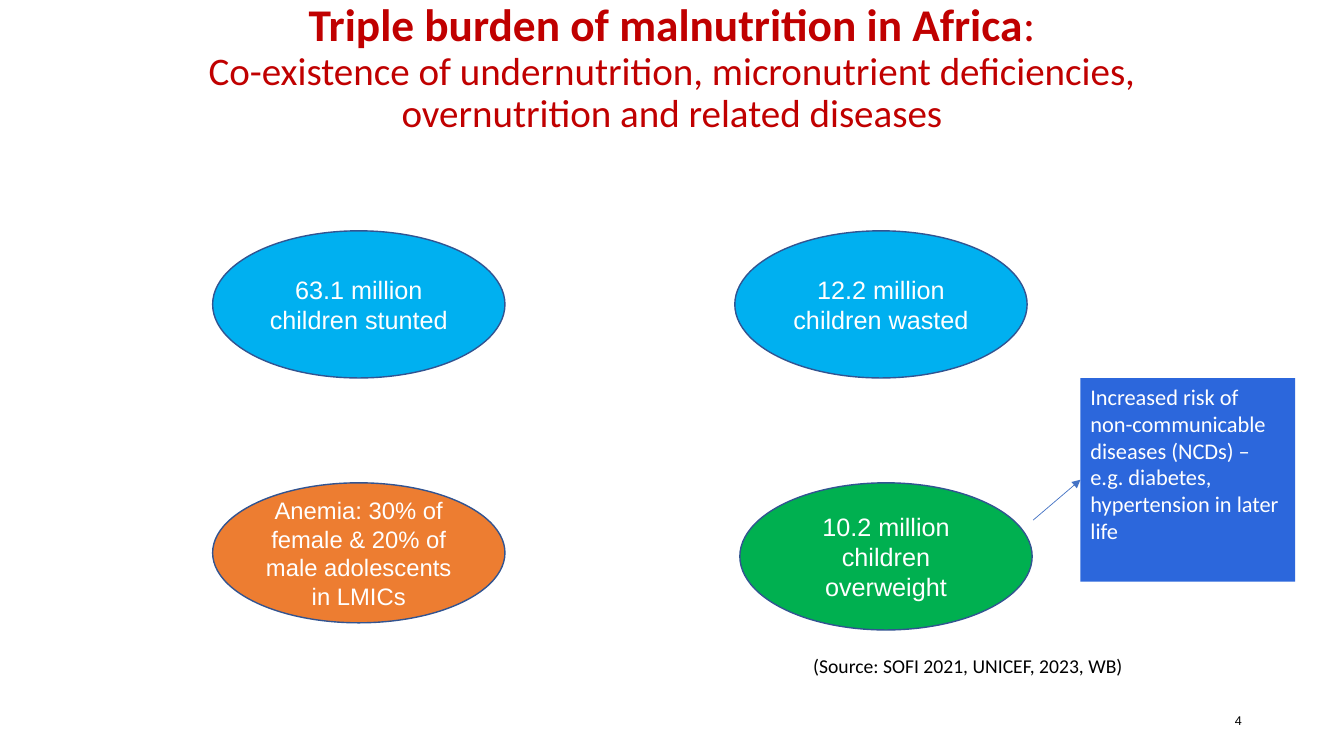
from lxml.etree import SubElement
from pptx import Presentation
from pptx.dml.color import RGBColor
from pptx.enum.shapes import MSO_CONNECTOR as Connector, MSO_SHAPE as Preset
from pptx.enum.text import MSO_ANCHOR as Anchor, PP_ALIGN as Align
from pptx.oxml.ns import qn
from pptx.util import Pt

COLORS = {
    "title": "C00000",
    "sky": "00B0F0",
    "orange": "ED7D31",
    "green": "00B050",
    "outline": "325491",
    "risk": "2C67DC",
    "arrow": "4472C4",
    "white": "FFFFFF",
    "black": "000000",
}

LEFT_COLUMN = 151.9
TOP_ROW, BOTTOM_ROW = 164.9, 344.9
OVAL_WIDTH, OVAL_HEIGHT = 208.8, 105.1

BURDENS = [
    ("63.1 million children stunted", LEFT_COLUMN, TOP_ROW, OVAL_HEIGHT, "sky", 18),
    ("12.2 million children wasted", 524.9, TOP_ROW, OVAL_HEIGHT, "sky", 18),
    ("Anemia: 30% of female & 20% of male adolescents in LMICs",
     LEFT_COLUMN, BOTTOM_ROW, 100, "orange", 17),
    ("10.2 million children overweight", 528.5, BOTTOM_ROW, OVAL_HEIGHT, "green", 18),
]


def rgb(name):
    return RGBColor.from_string(COLORS[name])


def style(paragraph, font_name, size, color, align):
    paragraph.alignment = align
    paragraph.font.name = font_name
    paragraph.font.size = Pt(size)
    paragraph.font.color.rgb = rgb(color)


def write(shape, text, font_name, size, color, align=Align.LEFT, anchor=Anchor.TOP):
    frame = shape.text_frame
    frame.word_wrap = True
    frame.vertical_anchor = anchor
    paragraph = frame.paragraphs[0]
    paragraph.text = text
    style(paragraph, font_name, size, color, align)


def add_text(slide, box, *args, **options):
    shape = slide.shapes.add_textbox(*map(Pt, box))
    write(shape, *args, **options)


def add_filled(slide, preset, box, fill):
    shape = slide.shapes.add_shape(preset, *map(Pt, box))
    shape.shadow.inherit = False
    shape.fill.solid()
    shape.fill.fore_color.rgb = rgb(fill)
    return shape


def add_title(slide):
    shape = slide.shapes.add_textbox(Pt(66), Pt(2), Pt(828), Pt(97))
    frame = shape.text_frame
    frame.word_wrap = True
    frame.margin_top = frame.margin_bottom = 0
    paragraph = frame.paragraphs[0]
    style(paragraph, "Calibri", 27.9, "title", Align.CENTER)
    paragraph.line_spacing = 0.9
    for text, bold in (("Triple burden of malnutrition in Africa", True), (":", False)):
        run = paragraph.add_run()
        run.text = text
        run.font.size = Pt(32.4)
        run.font.bold = bold
    paragraph.add_line_break()
    paragraph.add_run().text = (
        "Co-existence of undernutrition, micronutrient deficiencies, "
        "overnutrition and related diseases"
    )


def add_burden(slide, text, left, top, height, fill, size):
    oval = add_filled(slide, Preset.OVAL, (left, top, OVAL_WIDTH, height), fill)
    oval.line.color.rgb = rgb("outline")
    oval.line.width = Pt(1)
    write(oval, text, "Arial", size, "white", Align.CENTER, Anchor.MIDDLE)


def add_risk_box(slide):
    box = add_filled(slide, Preset.RECTANGLE, (771.8, 270, 153.4, 145.4), "risk")
    box.line.fill.background()
    write(box, "Increased risk of non-communicable diseases (NCDs) – "
          "e.g. diabetes, hypertension in later life", "Calibri", 16, "white")
    return box


def add_arrow(slide, start, target, side):
    arrow = slide.shapes.add_connector(Connector.STRAIGHT, *map(Pt, start), 0, 0)
    arrow.end_connect(target, side)
    arrow.line.color.rgb = rgb("arrow")
    arrow.line.width = Pt(0.5)
    properties = arrow._element.spPr
    SubElement(properties.find(qn("a:ln")), qn("a:tailEnd"), type="triangle")
    SubElement(properties, qn("a:effectLst"))


def main():
    presentation = Presentation()
    presentation.slide_width = Pt(960)
    presentation.slide_height = Pt(540)
    slide = presentation.slides.add_slide(presentation.slide_layouts[6])

    add_title(slide)
    for burden in BURDENS:
        add_burden(slide, *burden)
    risk_box = add_risk_box(slide)
    add_arrow(slide, (738, 371.5), risk_box, 1)
    add_text(slide, (573.8, 463.7, 328.3, 24.5),
             "(Source: SOFI 2021, UNICEF, 2023, WB)", "Calibri", 14, "black")
    add_text(slide, (678.2, 500.4, 216, 28.8), "4", "Arial", 9, "black",
             align=Align.RIGHT, anchor=Anchor.MIDDLE)

    presentation.save("out.pptx")


if __name__ == "__main__":
    main()
